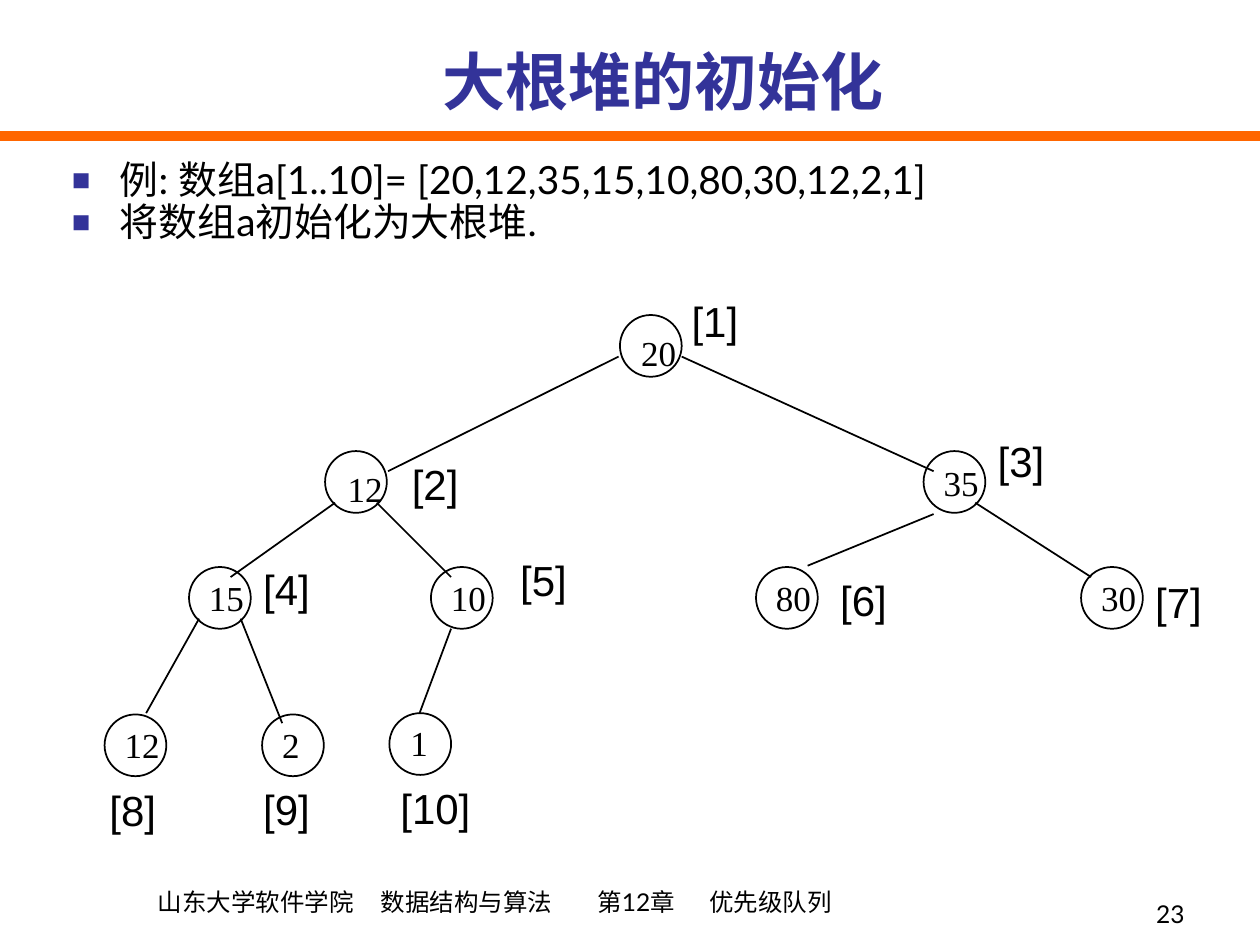
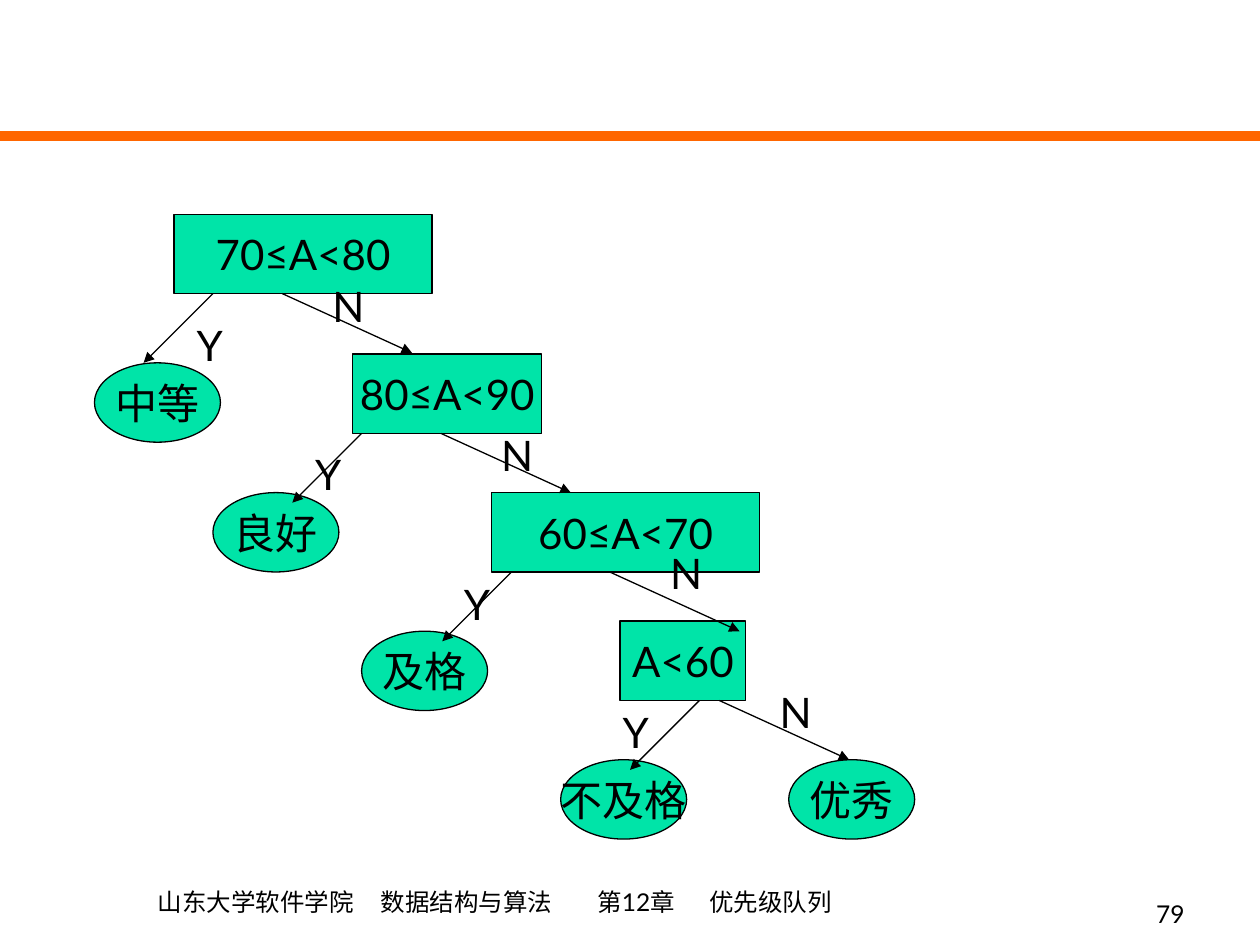
from lxml import etree
from pptx import Presentation
from pptx.dml.color import RGBColor
from pptx.enum import shapes, text
from pptx.oxml.ns import qn
from pptx.util import Inches, Pt

COLORS = {"ink": "000000", "title": "333399", "band": "FF6600", "node": "00E4A8"}
LEFT, CENTER, RIGHT = text.PP_ALIGN.LEFT, text.PP_ALIGN.CENTER, text.PP_ALIGN.RIGHT
TOP, MIDDLE, BOTTOM = text.MSO_ANCHOR.TOP, text.MSO_ANCHOR.MIDDLE, text.MSO_ANCHOR.BOTTOM
OVAL, RECT = shapes.MSO_SHAPE.OVAL, shapes.MSO_SHAPE.RECTANGLE


def write(sp, words, size, font="Lato", color="ink", align=LEFT, anchor=TOP, wrap=False, bold=False):
    tf = sp.text_frame
    tf.text = words
    tf.word_wrap = wrap
    tf.auto_size = text.MSO_AUTO_SIZE.NONE
    tf.vertical_anchor = anchor
    for p in tf.paragraphs:
        p.alignment = align
        for r in p.runs:
            r.font.size, r.font.name, r.font.bold = Pt(size), font, bold
            r.font.color.rgb = RGBColor.from_string(COLORS[color])


def add_line(s, x1, y1, x2, y2, width, color="ink", arrow=False):
    cx = s.shapes.add_connector(shapes.MSO_CONNECTOR.STRAIGHT,
                                Inches(x1), Inches(y1), Inches(x2), Inches(y2))
    cx.line.color.rgb = RGBColor.from_string(COLORS[color])
    cx.line.width = Pt(width)
    if arrow:
        etree.SubElement(cx.line._get_or_add_ln(), qn("a:tailEnd"), type="triangle")
    etree.SubElement(cx._element.spPr, qn("a:effectLst"))
    return cx


prs = Presentation()
prs.slide_width, prs.slide_height = Inches(10), Inches(7.5)
heap = prs.slides.add_slide(prs.slide_layouts[1])
grades = prs.slides.add_slide(prs.slide_layouts[6])

# Band and footer are built once and moved to the slide master
band = add_line(heap, 0, 1.08, 10, 1.08, 6, "band")
footer = heap.shapes.add_textbox(Inches(0.43), Inches(6.82), Inches(6.98), Inches(0.5))
write(footer, "山东大学软件学院\t数据结构与算法\t第12章\t优先级队列", 14, anchor=BOTTOM, wrap=True)
footer.text_frame.margin_left = Inches(0.82)
pPr = footer.text_frame.paragraphs[0]._p.get_or_add_pPr()
tabs = etree.SubElement(pPr, qn("a:tabLst"))
for stop in (1.77, 3.49, 4.38):
    etree.SubElement(tabs, qn("a:tab"), pos=str(Inches(stop)), algn="l")
for shape_id, sp in enumerate((band, footer), 101):
    sp._element.xpath(".//p:cNvPr")[0].set("id", str(shape_id))
    prs.slide_master.shapes.element.append(sp._element)

for s, number in ((heap, "23"), (grades, "79")):
    sp = s.shapes.add_textbox(Inches(7.42), Inches(6.92), Inches(2.08), Inches(0.5))
    write(sp, number, 14, align=RIGHT, anchor=BOTTOM, wrap=True)

# Slide 1: the array drawn as a heap
title, body = heap.placeholders
title.left, title.top, title.width, title.height = Inches(1), Inches(0), Inches(8.52), Inches(0.99)
write(title, "大根堆的初始化", 36, color="title", align=CENTER, anchor=BOTTOM, wrap=True, bold=True)

body.left, body.top, body.width, body.height = Inches(0.47), Inches(1.23), Inches(9.38), Inches(0.85)
write(body, "例: 数组a[1..10]= [20,12,35,15,10,80,30,12,2,1]\n将数组a初始化为大根堆.", 22.2, wrap=True)
for p in body.text_frame.paragraphs:
    pPr = p._p.get_or_add_pPr()
    pPr.set("marL", str(Inches(0.38)))
    pPr.set("indent", str(Inches(-0.38)))
    clr = etree.SubElement(pPr, qn("a:buClr"))
    etree.SubElement(clr, qn("a:srgbClr"), val=COLORS["title"])
    etree.SubElement(pPr, qn("a:buSzPct"), val="80000")
    etree.SubElement(pPr, qn("a:buChar"), char="■")
    p.line_spacing = 0.9
    p.space_before = Pt(0)

# Circle left and top, value, value offset, index label left and top
nodes = [
    (4.92, 2.5, "20", 0.07, 0.08, 5.39, 2.3),
    (2.58, 3.58, "12", 0.08, 0.08, 3.17, 3.59),
    (7.33, 3.58, "35", 0.06, 0.03, 7.82, 3.41),
    (1.5, 4.5, "15", 0.06, 0.03, 1.99, 4.42),
    (3.42, 4.5, "10", 0.06, 0.03, 4.03, 4.35),
    (6, 4.5, "80", 0.06, 0.03, 6.57, 4.51),
    (8.58, 4.5, "30", 0.06, 0.03, 9.07, 4.53),
    (0.83, 5.67, "12", 0.06, 0.02, 0.77, 6.18),
    (2.08, 5.67, "2", 0.06, 0.02, 1.99, 6.17),
    (3.09, 5.66, "1", 0.07, 0.02, 3.08, 6.16),
]
edges = [
    (4.91, 2.83, 3.08, 3.74), (5.41, 2.83, 7.41, 3.74),
    (2.66, 3.99, 1.83, 4.58), (2.99, 3.99, 3.58, 4.58),
    (7.41, 4.08, 6.41, 4.49), (7.74, 3.99, 8.66, 4.58),
    (1.58, 4.91, 1.16, 5.66), (1.91, 4.91, 2.24, 5.74),
    (3.58, 4.99, 3.33, 5.66),
]
for i, (x, y, value, dx, dy, label_x, label_y) in enumerate(nodes, 1):
    sp = heap.shapes.add_shape(OVAL, Inches(x), Inches(y), Inches(0.49), Inches(0.49))
    sp.shadow.inherit = False
    sp.fill.background()
    sp.line.color.rgb = RGBColor.from_string(COLORS["ink"])
    sp.line.width = Pt(1)
    value_w = 0.2 + 0.14 * len(value)
    sp = heap.shapes.add_textbox(Inches(x + dx), Inches(y + dy), Inches(value_w), Inches(0.43))
    write(sp, value, 20, "Times New Roman")
    label_w = 0.57 if i < 10 else 0.76
    sp = heap.shapes.add_textbox(Inches(label_x), Inches(label_y), Inches(label_w), Inches(0.5))
    write(sp, f"[{i}]", 24, "Arial")
for edge in edges:
    add_line(heap, *edge, 1)

# Slide 2: decision tree for grades
NODE_H = 0.63
# Test, left, top, width, start of Y arrow, start of N arrow, Y label, N label
tests = [
    ("70≤A<80", 1.38, 1.7, 2.05, 1.69, 2.24, (1.47, 2.49), (2.54, 2.18)),
    ("80≤A<90", 2.8, 2.81, 1.5, 2.87, 3.5, (2.41, 3.51), (3.88, 3.36)),
    ("60≤A<70", 3.9, 3.91, 2.13, 4.06, 4.84, (3.59, 4.54), (5.22, 4.3)),
    ("A<60", 4.92, 4.93, 1, 5.55, 5.71, (4.85, 5.56), (6.09, 5.4)),
]
results = [("中等", 0.75, 2.88), ("良好", 1.69, 3.91), ("及格", 2.87, 5.01),
           ("优秀", 6.26, 6.03), ("不及格", 4.45, 6.03)]
boxes = [(RECT, *test[:4]) for test in tests] + [(OVAL, *result, 1) for result in results]
for kind, words, x, y, w in boxes:
    sp = grades.shapes.add_shape(kind, Inches(x), Inches(y), Inches(w), Inches(NODE_H))
    sp.shadow.inherit = False
    sp.fill.solid()
    sp.fill.fore_color.rgb = RGBColor.from_string(COLORS["node"])
    sp.line.color.rgb = RGBColor.from_string(COLORS["ink"])
    sp.line.width = Pt(0.75)
    write(sp, words, 24, align=CENTER, anchor=MIDDLE)

for _, _, y, _, yes_x, no_x, yes_at, no_at in tests:
    bottom = y + NODE_H
    add_line(grades, yes_x, bottom, yes_x - 0.55, bottom + 0.55, 0.75, arrow=True)
    add_line(grades, no_x, bottom, no_x + 1.03, bottom + 0.47, 0.75, arrow=True)
    for answer, (x, top), w in (("Y", yes_at, 0.39), ("N", no_at, 0.45)):
        sp = grades.shapes.add_textbox(Inches(x), Inches(top), Inches(w), Inches(0.5))
        write(sp, answer, 24, align=CENTER)

prs.save("out.pptx")
